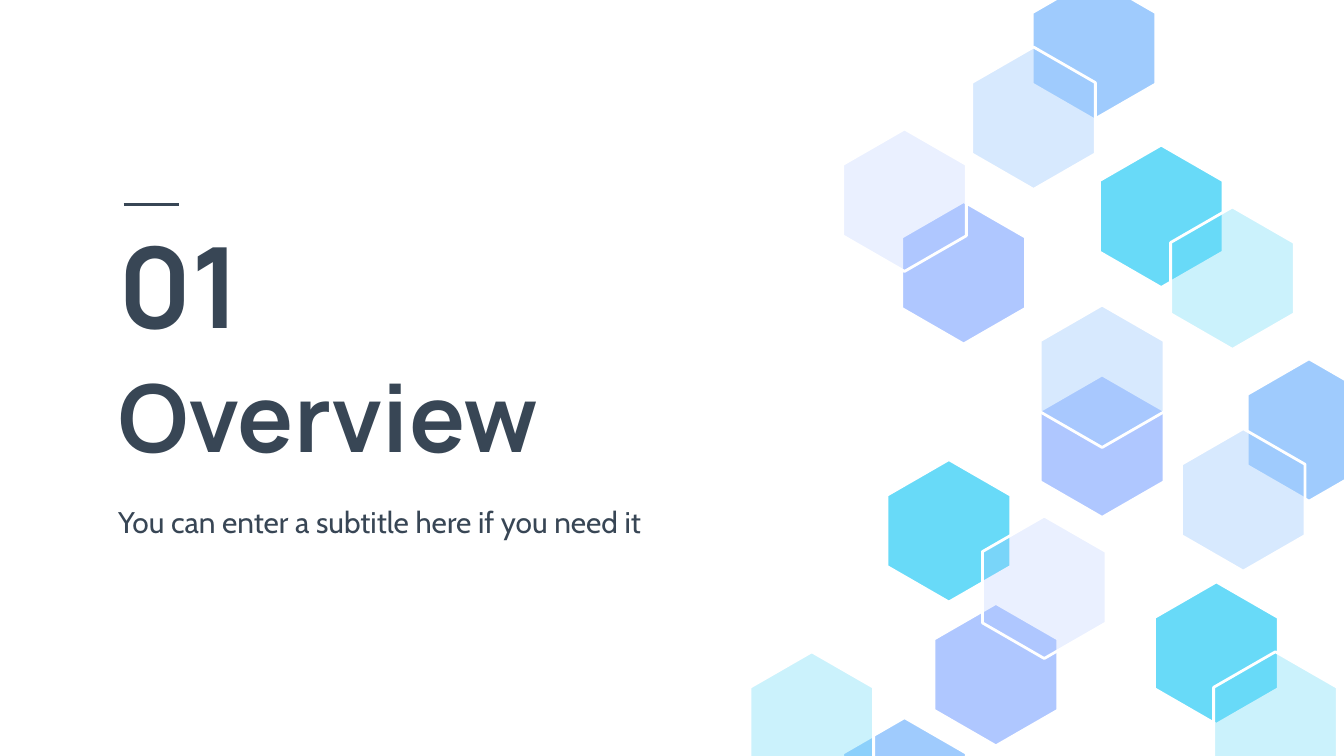
from collections import namedtuple
from dataclasses import dataclass

from lxml import etree
from pptx import Presentation
from pptx.dml.color import RGBColor
from pptx.enum import shapes, text
from pptx.oxml import ns
from pptx.util import Inches, Pt

Box = namedtuple("Box", "left top width height")


@dataclass(frozen=True)
class Theme:
    """Colours, fonts and sizes of the deck."""

    ink: str = "384655"
    white: str = "FFFFFF"
    violet: str = "AFC7FF"
    blue: str = "9FCBFD"
    cyan: str = "68DAF8"
    heading: str = "Manrope"
    body: str = "Cabin"
    number_size: int = 60
    title_size: int = 50
    subtitle_size: int = 16
    stroke: float = 1.5


THEME = Theme()
HEXAGON = (0.92, 1.06)
SOLID = 100
HEXAGONS = [
    (2.16, 2.96, THEME.violet, SOLID),
    (2.10, 0, THEME.blue, SOLID),
    (1.65, 0.52, THEME.blue, 41),
    (1.13, 1.67, THEME.violet, SOLID),
    (0.69, 1.13, THEME.violet, 25),
    (2.60, 1.25, THEME.cyan, SOLID),
    (2.16, 2.44, THEME.blue, 41),
    (3.13, 1.71, THEME.cyan, 34),
    (1.02, 3.59, THEME.cyan, SOLID),
    (1.37, 4.66, THEME.violet, SOLID),
    (0.69, 5.51, THEME.blue, SOLID),
    (1.73, 4.01, THEME.violet, 25),
    (0, 5.02, THEME.cyan, 34),
    (3.70, 2.84, THEME.blue, SOLID),
    (3.21, 3.36, THEME.blue, 41),
    (3.01, 4.50, THEME.cyan, SOLID),
    (3.45, 5.02, THEME.cyan, 34),
]


def apply(target, values):
    """Set each named attribute of the target."""
    for name, value in values.items():
        setattr(target, name, value)


def write_text(shape, box, words, font, size, bold, anchor, spacing=1.0):
    """Place a text shape and format its one paragraph."""
    apply(shape, dict(zip(box._fields, map(Inches, box))))
    frame = shape.text_frame
    margins = ("margin_left", "margin_top", "margin_right", "margin_bottom")
    apply(frame, dict.fromkeys(margins, Inches(0.1)))
    apply(frame, {"word_wrap": True, "vertical_anchor": anchor,
                  "auto_size": text.MSO_AUTO_SIZE.NONE})
    para = frame.paragraphs[0]
    apply(para, {"alignment": text.PP_ALIGN.LEFT, "line_spacing": spacing,
                 "space_before": Pt(0)})
    span = para.add_run()
    span.text = words
    apply(span.font, {"name": font, "size": Pt(size), "bold": bold})
    span.font.color.rgb = RGBColor.from_string(THEME.ink)


def add_hexagon(group, left, top, color, opacity):
    """Draw one upright hexagon with a white outline."""
    width, height = HEXAGON
    middle, right = left + width / 2, left + width
    upper, lower = top + height / 4, top + height * 3 / 4
    corners = [(left, upper), (left, lower), (middle, top + height),
               (right, lower), (right, upper)]
    builder = group.shapes.build_freeform(Inches(middle), Inches(top))
    builder.add_line_segments([(Inches(x), Inches(y)) for x, y in corners])
    hexagon = builder.convert_to_shape()
    hexagon.shadow.inherit = False
    hexagon.fill.solid()
    hexagon.fill.fore_color.rgb = RGBColor.from_string(color)
    hexagon.line.color.rgb = RGBColor.from_string(THEME.white)
    hexagon.line.width = Pt(THEME.stroke)
    if opacity < SOLID:
        tint = hexagon.fill._xPr.find(".//" + ns.qn("a:srgbClr"))
        etree.SubElement(tint, ns.qn("a:alpha"), val=str(opacity * 1000))


def add_honeycomb(page, box):
    """Scatter the hexagons from the corner of the box."""
    group = page.shapes.add_group_shape()
    for left, top, color, opacity in HEXAGONS:
        add_hexagon(group, box.left + left, box.top + top, color, opacity)


def add_heading(page, box):
    """Stack the rule, number, title and subtitle in the box."""
    number = Box(box.left, box.top + 0.09, 1.38, 1)
    title = Box(box.left, number.top + 1, box.width, 1)
    subtitle = Box(box.left, title.top + 1, box.width, 0.41)
    write_text(page.shapes.title, title, "Overview", THEME.heading,
               THEME.title_size, True, text.MSO_ANCHOR.BOTTOM)
    write_text(page.shapes.add_textbox(0, 0, 0, 0), number, "01",
               THEME.heading, THEME.number_size, True,
               text.MSO_ANCHOR.MIDDLE)
    write_text(page.shapes.add_textbox(0, 0, 0, 0), subtitle,
               "You can enter a subtitle here if you need it", THEME.body,
               THEME.subtitle_size, False, text.MSO_ANCHOR.TOP, 1.15)
    start = box.left + 0.14
    rule = page.shapes.add_connector(
        shapes.MSO_CONNECTOR.STRAIGHT, Inches(start), Inches(box.top),
        Inches(start + 0.41), Inches(box.top))
    rule.line.color.rgb = RGBColor.from_string(THEME.ink)
    rule.line.width = Pt(THEME.stroke)
    etree.SubElement(rule._element.spPr, ns.qn("a:effectLst"))


def main():
    """Build and save the section slide."""
    deck = Presentation()
    width = Inches(10)
    apply(deck, {"slide_width": width, "slide_height": width * 9 // 16})
    page = deck.slides.add_slide(deck.slide_layouts[5])
    page.background.fill.solid()
    page.background.fill.fore_color.rgb = RGBColor.from_string(THEME.white)
    add_honeycomb(page, Box(5.58, -0.17, 4.62, 6.56))
    add_heading(page, Box(0.78, 1.52, 4.75, 2.5))
    deck.save("out.pptx")


if __name__ == "__main__":
    main()
